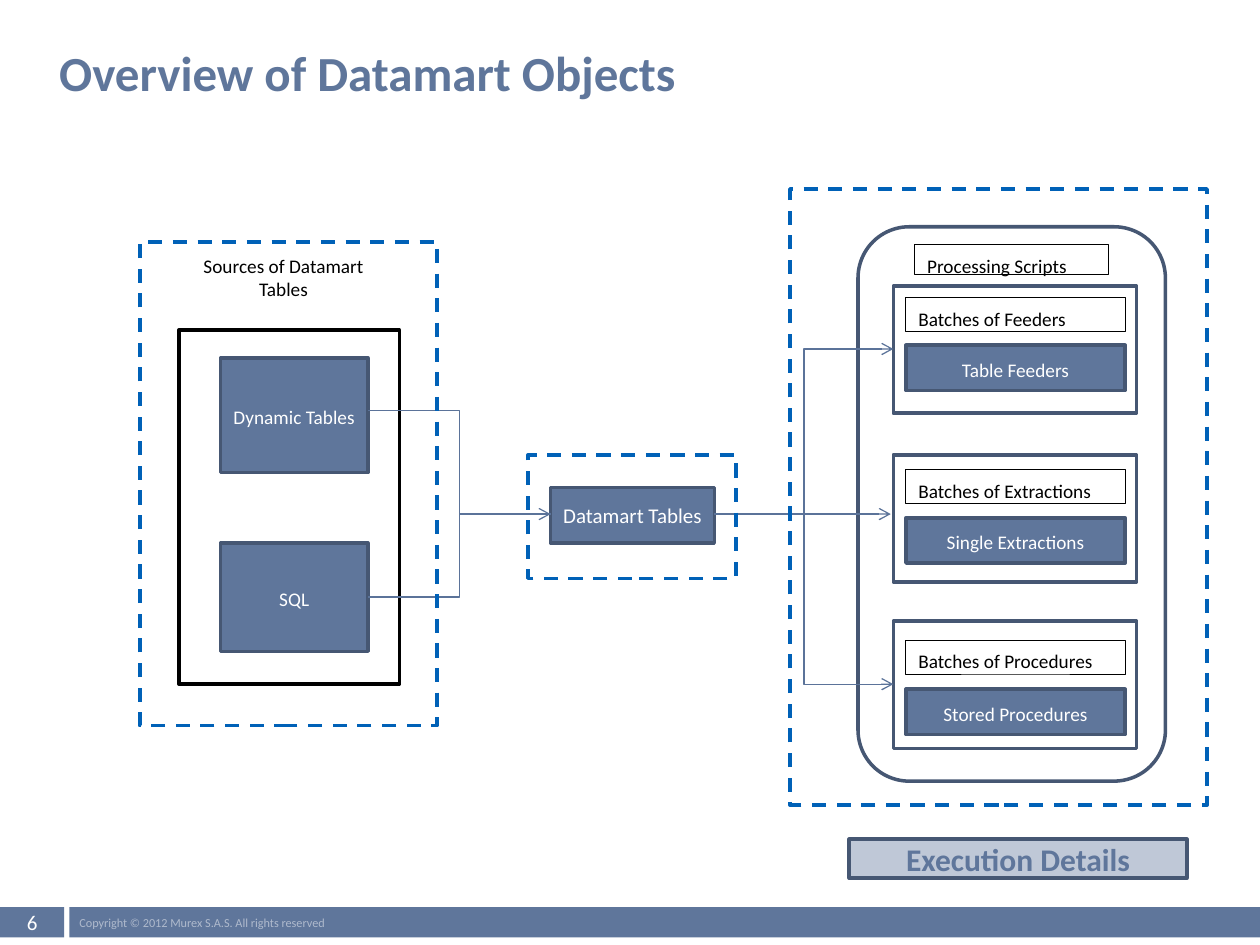
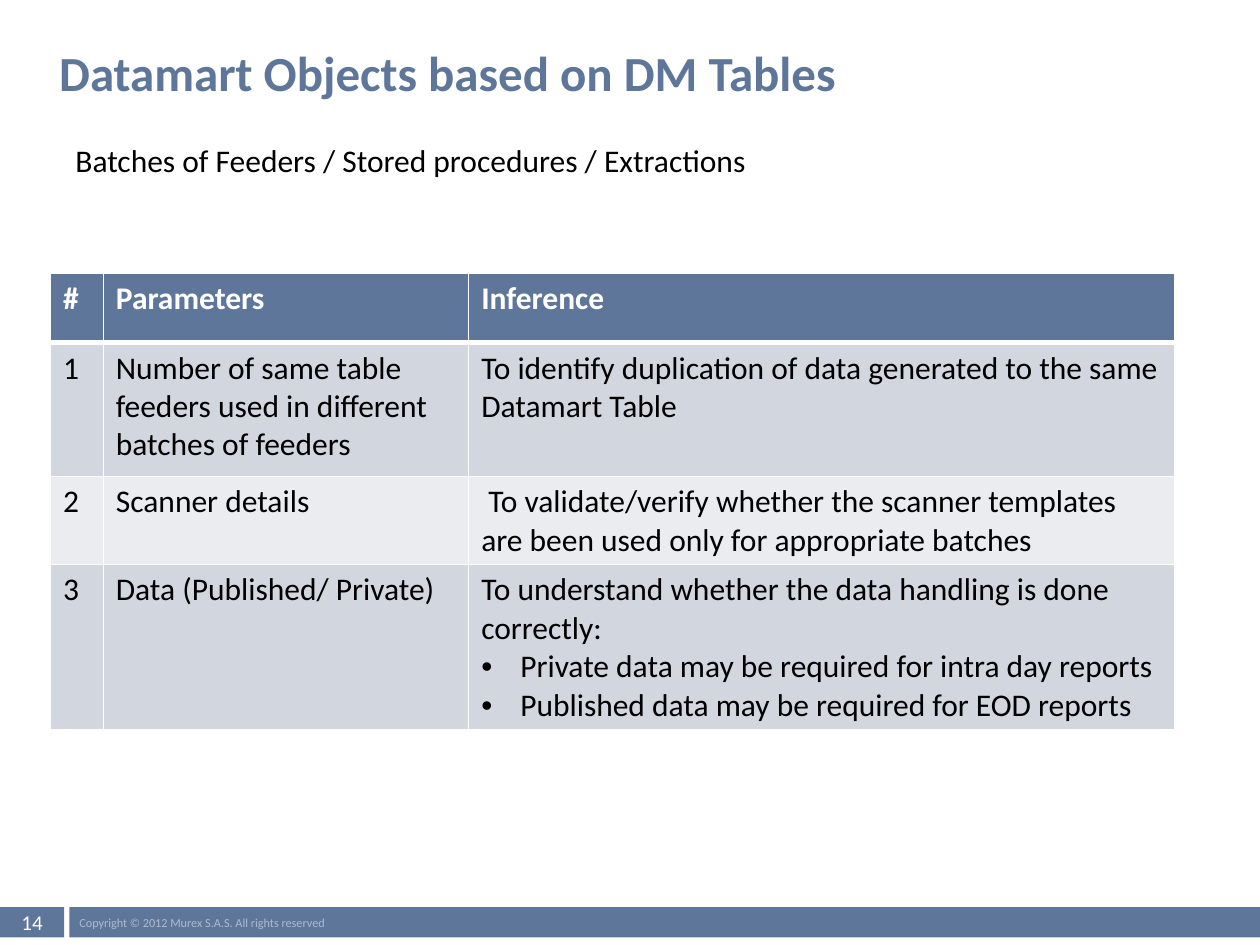
from dataclasses import dataclass
from typing import Any, Optional

import lxml.etree
import pptx
import pptx.dml.color
import pptx.enum.dml
import pptx.enum.shapes
import pptx.enum.text
import pptx.oxml.ns
import pptx.util

Inches = pptx.util.Inches
Pt = pptx.util.Pt
ALIGN = pptx.enum.text.PP_ALIGN
ANCHOR = pptx.enum.text.MSO_ANCHOR
SHAPE = pptx.enum.shapes.MSO_SHAPE
CONNECTOR = pptx.enum.shapes.MSO_CONNECTOR
qn = pptx.oxml.ns.qn

# Shared look
FONT = "Calibri"
SLATE, SLATE_EDGE, SLATE_PALE = "5F769B", "465773", "BFC8D7"
ARROW, DASH_BLUE = "5B7399", "0061B7"
WHITE, BLACK, COPYRIGHT_GREY = "FFFFFF", "000000", "AFBACD"
ROW_FILLS = ("D2D6DE", "EAECEF")
COPYRIGHT = "Copyright © 2012 Murex S.A.S. All rights reserved"


@dataclass(frozen=True)
class Area:
    left: float
    top: float
    width: float
    height: float

    def lengths(self) -> list[int]:
        return [Inches(v) for v in (self.left, self.top, self.width, self.height)]


@dataclass(frozen=True)
class Batch:
    label: str
    content: str
    frame_top: float
    label_top: float
    content_top: float


@dataclass(frozen=True)
class Flow:
    start: tuple[float, float]
    end: tuple[float, float]
    bent: bool = True
    arrow: bool = True


@dataclass(frozen=True)
class Finding:
    parameter: str
    inference: str
    bullets: tuple[str, ...] = ()


BATCHES = (
    Batch("Batches of Feeders", "Table Feeders", 2.27, 2.36, 2.74),
    Batch("Batches of Extractions", "Single Extractions", 3.61, 3.73, 4.11),
    Batch("Batches of Procedures", "Stored Procedures", 4.93, 5.08, 5.47),
)

FLOWS = (
    Flow((2.92, 3.26), (4.37, 4.08)),
    Flow((2.92, 4.74), (4.37, 4.08), arrow=False),
    Flow((5.67, 4.08), (7.09, 2.77)),
    Flow((5.67, 4.08), (7.07, 4.08), bent=False),
    Flow((5.67, 4.08), (7.09, 5.43)),
)

FINDINGS = (
    Finding("Number of same table feeders used in different batches of feeders",
            "To identify duplication of data generated to the same Datamart Table"),
    Finding("Scanner details",
            " To validate/verify whether the scanner templates are been used "
            "only for appropriate batches"),
    Finding("Data (Published/ Private)",
            "To understand whether the data handling is done correctly:",
            ("Private data may be required for intra day reports",
             "Published data may be required for EOD reports")),
)


def rgb(value: str) -> pptx.dml.color.RGBColor:
    return pptx.dml.color.RGBColor.from_string(value)


def write(frame: Any, text: str, *, size: float = 11, color: str = BLACK,
          bold: bool = False, align: Any = ALIGN.LEFT, spaced: bool = False,
          bullet: bool = False, added: bool = False) -> None:
    """Write one paragraph, the first of the frame unless added is set."""
    paragraph = frame.add_paragraph() if added else frame.paragraphs[0]
    if bullet:
        properties = paragraph._p.get_or_add_pPr()
        properties.set("marL", str(Inches(0.31)))
        properties.set("indent", str(-Inches(0.31)))
        lxml.etree.SubElement(properties, qn("a:buFont"), typeface="Arial")
        lxml.etree.SubElement(properties, qn("a:buChar"), char="•")
    paragraph.alignment = align
    if spaced:
        paragraph.line_spacing = 1.15
        paragraph.space_after = Pt(10)
    run = paragraph.add_run()
    run.text = text
    run.font.name = FONT
    run.font.size = Pt(size)
    run.font.bold = bold
    run.font.color.rgb = rgb(color)


def set_frame(frame: Any, anchor: Any, side: float, upright: float) -> Any:
    frame.word_wrap = True
    frame.vertical_anchor = anchor
    frame.margin_left = frame.margin_right = Inches(side)
    frame.margin_top = frame.margin_bottom = Inches(upright)
    return frame


def add_text(slide: Any, area: Area, text: str, *, side: float = 0.1,
             upright: float = 0.05, **style: Any) -> None:
    box = slide.shapes.add_textbox(*area.lengths())
    write(set_frame(box.text_frame, ANCHOR.TOP, side, upright), text, **style)


def add_box(slide: Any, area: Area, text: str = "", *, fill: Optional[str] = None,
            edge: Optional[str] = None, weight: float = 2, dashed: bool = False,
            rounded: bool = False, anchor: Any = ANCHOR.MIDDLE, side: float = 0.1,
            upright: float = 0.05, **style: Any) -> None:
    preset = SHAPE.ROUNDED_RECTANGLE if rounded else SHAPE.RECTANGLE
    box = slide.shapes.add_shape(preset, *area.lengths())
    box.shadow.inherit = False
    if fill:
        box.fill.solid()
        box.fill.fore_color.rgb = rgb(fill)
    else:
        box.fill.background()
    if edge:
        box.line.color.rgb = rgb(edge)
        box.line.width = Pt(weight)
        if dashed:
            box.line.dash_style = pptx.enum.dml.MSO_LINE.DASH
    else:
        box.line.fill.background()
    if text:
        write(set_frame(box.text_frame, anchor, side, upright), text, **style)


def add_object(slide: Any, area: Area, text: str, **style: Any) -> None:
    """Slate block that stands for one kind of datamart object."""
    look = dict(color=WHITE, align=ALIGN.CENTER, spaced=True, side=0.05) | style
    add_box(slide, area, text, fill=SLATE, edge=SLATE_EDGE, **look)


def add_label(slide: Any, area: Area, text: str) -> None:
    add_box(slide, area, text, fill=WHITE, edge=BLACK, weight=0.5,
            anchor=ANCHOR.TOP, spaced=True)


def add_flow(slide: Any, flow: Flow) -> None:
    kind = CONNECTOR.ELBOW if flow.bent else CONNECTOR.STRAIGHT
    ends = [Inches(v) for v in (*flow.start, *flow.end)]
    connector = slide.shapes.add_connector(kind, *ends)
    connector.line.color.rgb = rgb(ARROW)
    connector.line.width = Pt(0.75)
    if flow.arrow:
        lxml.etree.SubElement(connector.line._get_or_add_ln(), qn("a:tailEnd"), type="arrow")
    lxml.etree.SubElement(connector._element.spPr, qn("a:effectLst"))


def add_page(deck: Any, title: str, number: int) -> Any:
    """Blank slide with the shared title and footer bands."""
    slide = deck.slides.add_slide(deck.slide_layouts[6])
    add_box(slide, Area(0.55, 7.2, 9.45, 0.24), COPYRIGHT, fill=SLATE,
            side=0.08, upright=0, size=7, color=COPYRIGHT_GREY)
    add_box(slide, Area(0, 7.2, 0.51, 0.24), str(number), fill=SLATE,
            side=0.08, upright=0, size=12, color=WHITE, align=ALIGN.CENTER)
    add_text(slide, Area(0.43, 0.34, 9.4, 0.58), title, side=0.04, upright=0,
             size=28, color=SLATE, bold=True)
    return slide


def build_overview(deck: Any) -> None:
    slide = add_page(deck, "Overview of Datamart Objects", 6)

    # Sources and the tables they fill
    add_object(slide, Area(4.37, 3.87, 1.3, 0.44), "Datamart Tables", size=12, spaced=False)
    add_box(slide, Area(1.42, 2.62, 1.75, 2.81), fill=WHITE, edge=BLACK)
    add_object(slide, Area(1.75, 2.84, 1.17, 0.91), "Dynamic Tables")
    add_object(slide, Area(1.75, 4.31, 1.17, 0.86), "SQL")

    # Processing scripts with their batches
    for batch in BATCHES:
        add_object(slide, Area(7.19, batch.content_top, 1.74, 0.36), batch.content)
        add_box(slide, Area(7.09, batch.frame_top, 1.93, 1.01), edge=SLATE_EDGE)
        add_label(slide, Area(7.19, batch.label_top, 1.74, 0.27), batch.label)
    add_box(slide, Area(6.81, 1.8, 2.44, 4.4), edge=SLATE_EDGE, rounded=True)
    add_label(slide, Area(7.26, 1.94, 1.54, 0.24), "Processing Scripts")

    for flow in FLOWS:
        add_flow(slide, flow)

    add_box(slide, Area(6.74, 6.66, 2.68, 0.31), "Execution Details", fill=SLATE_PALE,
            edge=SLATE_EDGE, size=18, color=SLATE, bold=True, align=ALIGN.CENTER)

    # Dashed outlines of the three stages
    for stage in (Area(6.27, 1.5, 3.31, 4.89), Area(4.19, 3.61, 1.65, 0.98),
                  Area(1.11, 1.92, 2.36, 3.84)):
        add_box(slide, stage, edge=DASH_BLUE, dashed=True)
    add_text(slide, Area(1.36, 1.97, 1.78, 0.47), "Sources of Datamart Tables",
             align=ALIGN.CENTER)


def style_cell(cell: Any, fill: str, top: float, bottom: float) -> None:
    """White borders first, then the fill, as the schema orders them."""
    properties = cell._tc.get_or_add_tcPr()
    for side, weight in (("L", 1), ("R", 1), ("T", top), ("B", bottom)):
        border = lxml.etree.SubElement(properties, qn(f"a:ln{side}"), w=str(Pt(weight)))
        paint = lxml.etree.SubElement(border, qn("a:solidFill"))
        lxml.etree.SubElement(paint, qn("a:srgbClr"), val=WHITE)
    cell.fill.solid()
    cell.fill.fore_color.rgb = rgb(fill)


def build_findings(deck: Any) -> None:
    slide = add_page(deck, "Datamart Objects based on DM Tables", 14)
    widths, heights = (0.42, 2.9, 5.6), (0.55, 1.06, 0.69, 1.31)
    area = Area(0.4, 2.17, sum(widths), sum(heights))
    findings = slide.shapes.add_table(len(heights), len(widths), *area.lengths()).table
    for column, width in zip(findings.columns, widths):
        column.width = Inches(width)
    for row, height in zip(findings.rows, heights):
        row.height = Inches(height)

    # Header row
    for column, heading in enumerate(("#", "Parameters", "Inference")):
        cell = findings.cell(0, column)
        style_cell(cell, SLATE, 1, 3)
        write(cell.text_frame, heading, size=18, color=WHITE, bold=True)

    # Numbered findings on alternating bands
    for number, finding in enumerate(FINDINGS, start=1):
        texts = (str(number), finding.parameter, finding.inference)
        for column, text in enumerate(texts):
            cell = findings.cell(number, column)
            style_cell(cell, ROW_FILLS[(number - 1) % 2], 3 if number == 1 else 1, 1)
            write(cell.text_frame, text, size=18)
        for point in finding.bullets:
            write(findings.cell(number, 2).text_frame, point, size=18, bullet=True, added=True)

    add_text(slide, Area(0.5, 1.07, 7.58, 0.4),
             "Batches of Feeders / Stored procedures / Extractions", size=18)


def main() -> None:
    deck = pptx.Presentation()
    deck.slide_width, deck.slide_height = Inches(10), Inches(7.5)
    build_overview(deck)
    build_findings(deck)
    deck.save("out.pptx")


if __name__ == "__main__":
    main()
